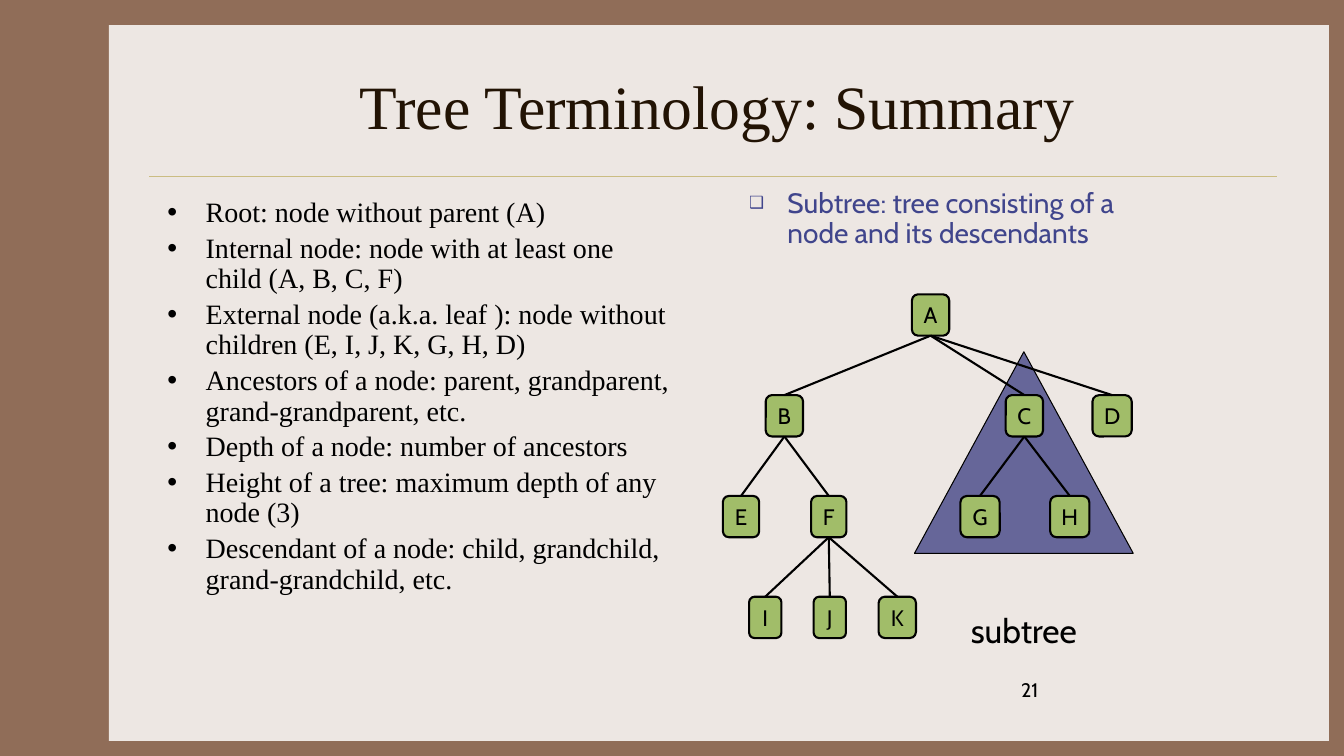
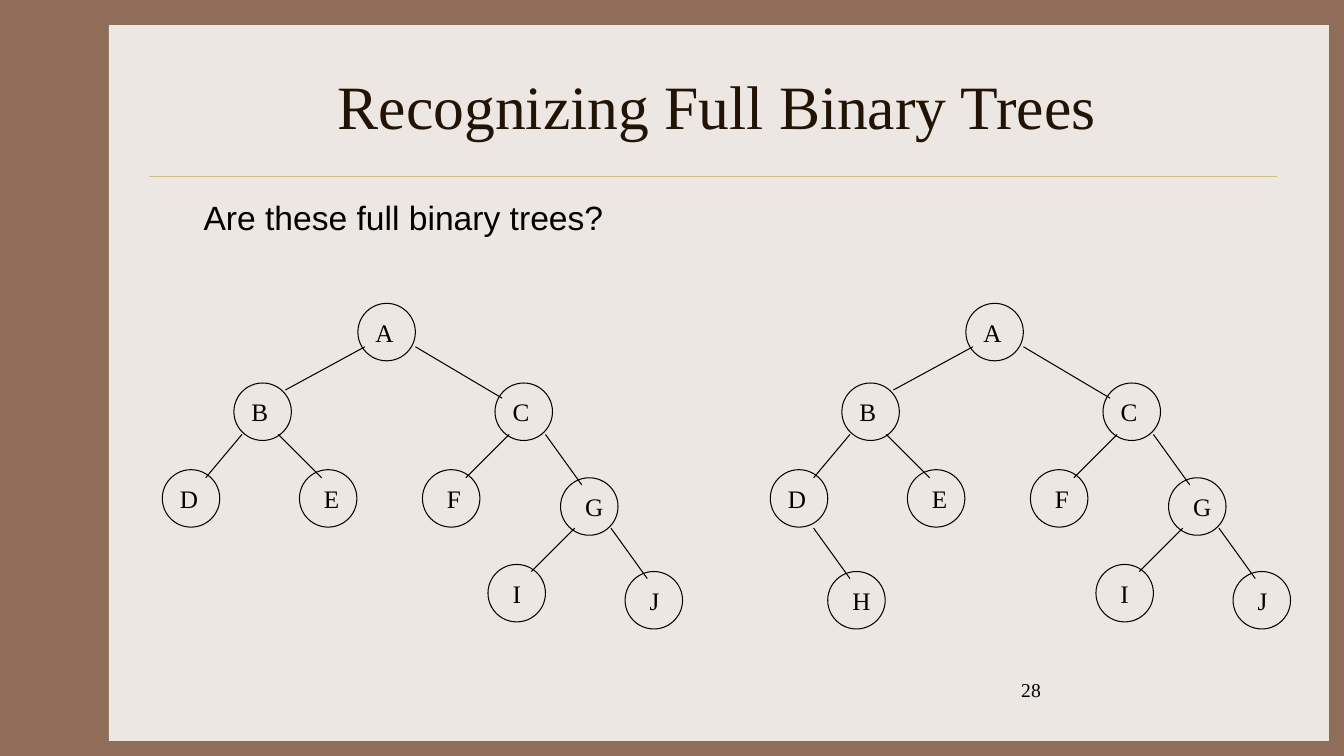
"""Build two slides on tree terminology and full binary trees."""
from lxml import etree
from pptx import Presentation
from pptx.dml.color import RGBColor
from pptx.enum import shapes, text
from pptx.oxml import ns
from pptx.util import Inches, Pt

HUES = {"back": "906D58", "panel": "EDE7E3", "rule": "CBBD83", "title": "221304",
        "ink": "000000", "node": "A1BD69", "cone": "666699", "note": "40458C"}
SERIF, SANS, PLAIN = "Times New Roman", "Cabin", "Arial"
KIND = shapes.MSO_SHAPE
ALIGN, ANCHOR = text.PP_ALIGN, text.MSO_ANCHOR

TERMS = [
    "Root: node without parent (A)",
    "Internal node: node with at least one child (A, B, C, F)",
    "External node (a.k.a. leaf ): node without children (E, I, J, K, G, H, D)",
    "Ancestors of a node: parent, grandparent, grand-grandparent, etc.",
    "Depth of a node: number of ancestors",
    "Height of a tree: maximum depth of any node (3)",
    "Descendant of a node: child, grandchild, grand-grandchild, etc.",
]
BOXES = {
    "A": (9.23, 0, 0.37), "B": (7.78, 1, 0.37), "C": (10.16, 1, 0.37),
    "D": (11.03, 1, 0.39), "E": (7.35, 2, 0.36), "F": (8.22, 2, 0.35),
    "G": (9.72, 2, 0.39), "H": (10.61, 2, 0.39), "I": (7.59, 3, 0.32),
    "J": (8.23, 3, 0.32), "K": (8.9, 3, 0.37),
}
LINKS = ["AB", "AC", "AD", "BE", "BF", "CG", "CH", "FI", "FJ", "FK"]
RINGS = {
    "A": (3.55, 3.01), "B": (2.32, 3.8), "C": (4.91, 3.8), "D": (1.61, 4.66),
    "E": (2.97, 4.66), "F": (4.19, 4.66), "G": (5.56, 4.74), "H": (2.18, 5.67),
    "I": (4.84, 5.6), "J": (6.2, 5.67),
}
EDGES = {
    "AB": (3.62, 3.44, 2.83, 3.87), "AC": (4.12, 3.44, 4.98, 3.95),
    "BD": (2.4, 4.31, 2.04, 4.74), "BE": (2.76, 4.31, 3.19, 4.74),
    "CF": (5.05, 4.31, 4.62, 4.74), "CG": (5.41, 4.31, 5.77, 4.81),
    "DH": (2.04, 5.24, 2.4, 5.74), "GI": (5.7, 5.24, 5.27, 5.67),
    "GJ": (6.06, 5.24, 6.42, 5.74),
}


def hue(name):
    """Return a named colour."""
    return RGBColor.from_string(HUES[name])


def place(shape, left, top, width, height):
    """Move and size a shape in inches."""
    shape.left, shape.top = Inches(left), Inches(top)
    shape.width, shape.height = Inches(width), Inches(height)


def write(shape, lines, face, size, color="ink", align=ALIGN.LEFT, anchor=ANCHOR.TOP):
    """Fill a shape with paragraphs in one style."""
    frame = shape.text_frame
    frame.text = "\n".join(lines)
    frame.word_wrap, frame.auto_size = True, text.MSO_AUTO_SIZE.NONE
    frame.vertical_anchor = anchor
    for para in frame.paragraphs:
        para.alignment = align
        para.font.name, para.font.size = face, Pt(size)
        para.font.color.rgb = hue(color)


def label(pool, box, line, face, size, **style):
    """Add a text box holding one line."""
    write(pool.add_textbox(*map(Inches, box)), [line], face, size, **style)


def bullet(shape, mark, scale=100):
    """Give every paragraph a hanging bullet."""
    for para in shape.text_frame.paragraphs:
        para.line_spacing, para.space_before = 0.9, Pt(4)
        props = para._p.get_or_add_pPr()
        props.set("marL", str(Inches(0.38)))
        props.set("indent", str(-Inches(0.38)))
        spot = props.index(props.find(ns.qn("a:defRPr")))
        for tag, key, value in (("a:buSzPct", "val", str(scale * 1000)),
                                ("a:buChar", "char", mark)):
            item = etree.Element(ns.qn(tag))
            item.set(key, value)
            props.insert(spot, item)
            spot += 1


def form(pool, kind, box, fill=None, edge=None, width=0.75):
    """Add a flat preset shape."""
    shape = pool.add_shape(kind, *map(Inches, box))
    shape.shadow.inherit = False
    if fill:
        shape.fill.solid()
        shape.fill.fore_color.rgb = hue(fill)
    else:
        shape.fill.background()
    if edge:
        shape.line.color.rgb, shape.line.width = hue(edge), Pt(width)
    else:
        shape.line.fill.background()
    return shape


def line(pool, ends, color="ink", width=0.75):
    """Add a straight line without a shadow."""
    link = pool.add_connector(shapes.MSO_CONNECTOR.STRAIGHT, *map(Inches, ends))
    link.line.color.rgb, link.line.width = hue(color), Pt(width)
    etree.SubElement(link._element.spPr, ns.qn("a:effectLst"))
    return link


def dress(deck, slide):
    """Put the background, panel and rule on the master."""
    master = deck.slide_master
    master.background.fill.solid()
    master.background.fill.fore_color.rgb = hue("back")
    panel = form(slide.shapes, KIND.RECTANGLE, (1.08, 0.25, 12.1, 7.1), "panel")
    rule = line(slide.shapes, (1.48, 1.75, 12.67, 1.75), "rule", 0.25)
    for spot, part in enumerate((panel, rule), 2):
        master.shapes.element.insert(spot, part.element)


def start(deck, layout, title, number, face):
    """Add a slide with its title and page number."""
    slide = deck.slides.add_slide(deck.slide_layouts[layout])
    place(slide.shapes.title, 1.56, 0.42, 11.11, 1.25)
    write(slide.shapes.title, [title], SERIF, 44, "title", ALIGN.CENTER, ANCHOR.MIDDLE)
    label(slide.shapes, (10.03, 6.68, 2.78, 0.5), number, face, 14)
    return slide


def chart(slide):
    """Draw the tree of boxes with its links."""
    pool, nodes = slide.shapes.add_group_shape().shapes, {}
    for name, (mid, row, width) in BOXES.items():
        box = (mid - width / 2, 2.92 + row, width, 0.41)
        node = form(pool, KIND.ROUNDED_RECTANGLE, box, "node", "ink", 1.5)
        frame = node.text_frame
        frame.margin_left = frame.margin_right = frame.margin_top = frame.margin_bottom = 0
        write(node, [name], SANS, 16, align=ALIGN.CENTER, anchor=ANCHOR.MIDDLE)
        nodes[name] = node
    for top, low in LINKS:
        ends = (BOXES[top][0], 3.33 + BOXES[top][1], BOXES[low][0], 2.92 + BOXES[low][1])
        link = line(pool, ends, width=1.5)
        link.begin_connect(nodes[top], 2)
        link.end_connect(nodes[low], 0)


def tree(slide, names, shift=0):
    """Draw the named rings and the edges between them."""
    pool = slide.shapes.add_group_shape().shapes
    for name in names:
        left, top = RINGS[name]
        ring = form(pool, KIND.OVAL, (left + shift, top, 0.57, 0.57), edge="ink")
        frame = ring.text_frame
        frame.margin_left = Inches(0.09 if name in "ABCD" else 0.16)
        frame.margin_right = frame.margin_top = frame.margin_bottom = 0
        write(ring, [name], SERIF, 18, anchor=ANCHOR.MIDDLE)
    for pair, (left, top, right, base) in EDGES.items():
        if set(pair) <= set(names):
            line(pool, (left + shift, top, right + shift, base))


def terms(deck):
    """Build the summary of tree terms."""
    slide = start(deck, 3, "Tree Terminology: Summary", "21", SANS)
    dress(deck, slide)
    body, note = list(slide.placeholders)[1:]
    place(body, 1.56, 1.92, 5.21, 4.5)
    write(body, TERMS, SERIF, 20)
    bullet(body, "•")
    place(note, 7.33, 1.83, 3.83, 1.08)
    write(note, ["Subtree: tree consisting of a node and its descendants"], SANS, 20, "note")
    bullet(note, "❑", 60)
    form(slide.shapes, KIND.ISOSCELES_TRIANGLE, (9.07, 3.49, 2.17, 2), "cone", "ink")
    label(slide.shapes, (9.07, 5.98, 2.17, 0.55), "subtree", SANS, 24,
          align=ALIGN.CENTER, anchor=ANCHOR.MIDDLE)
    chart(slide)


def quiz(deck):
    """Build the question on full binary trees."""
    slide = start(deck, 5, "Recognizing Full Binary Trees", "28", SERIF)
    label(slide.shapes, (1.92, 1.9, 4.21, 0.5), "Are these full binary trees?", PLAIN, 24)
    tree(slide, "ABCDEFGIJ")
    tree(slide, "ABCDEFGHIJ", 6.03)


def main():
    """Build and save the deck."""
    deck = Presentation()
    deck.slide_width, deck.slide_height = Inches(13.33), Inches(7.5)
    terms(deck)
    quiz(deck)
    deck.save("out.pptx")


if __name__ == "__main__":
    main()
